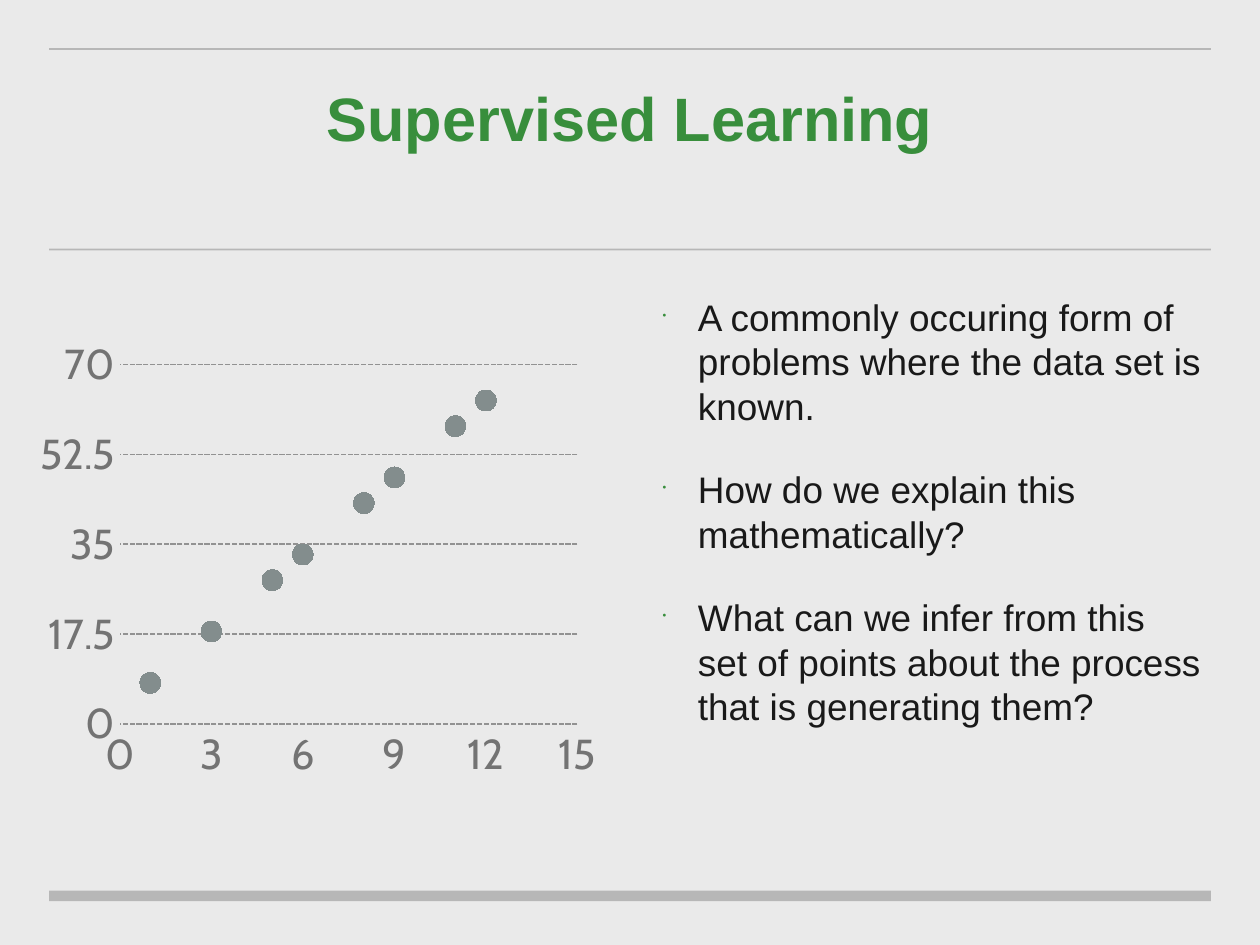
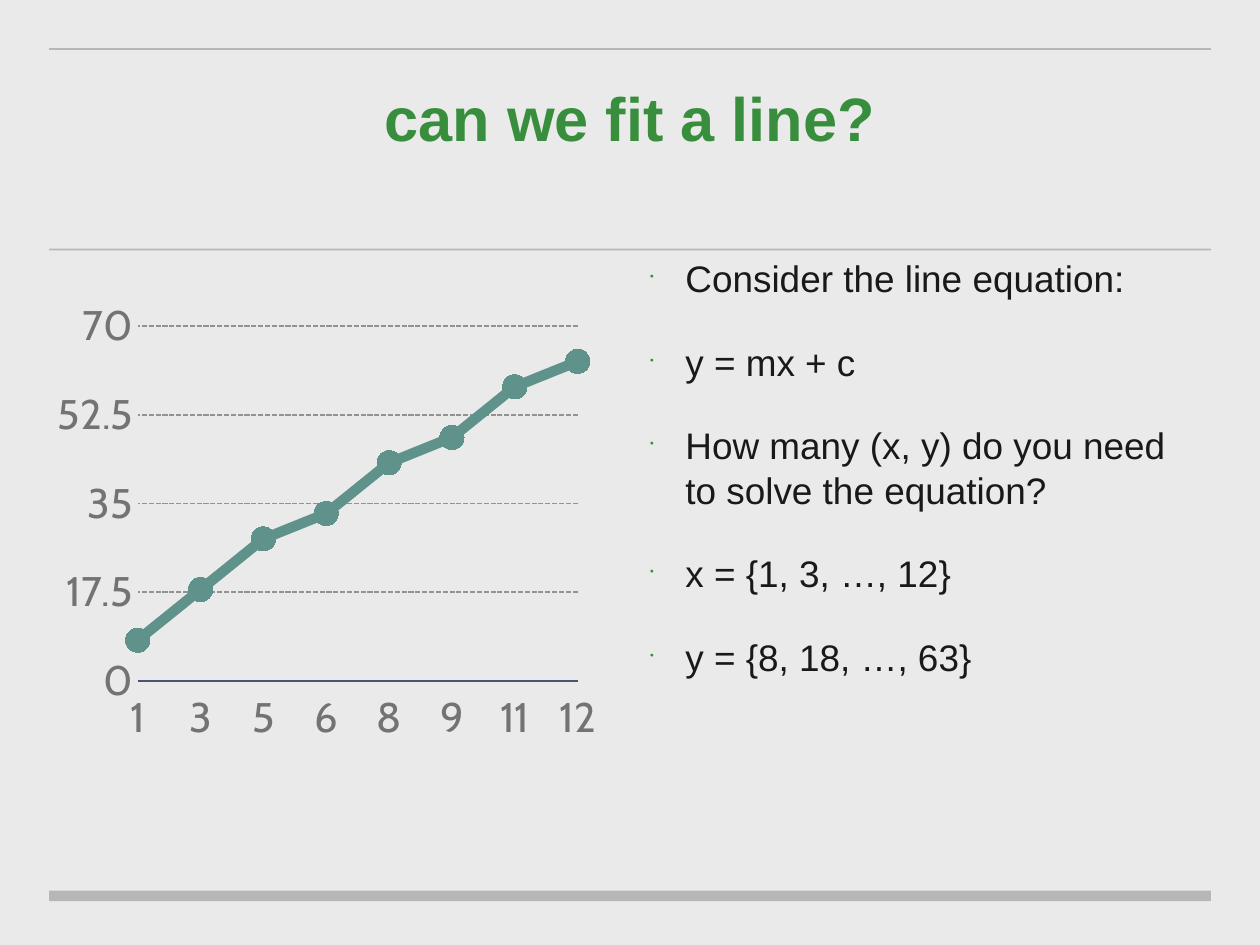
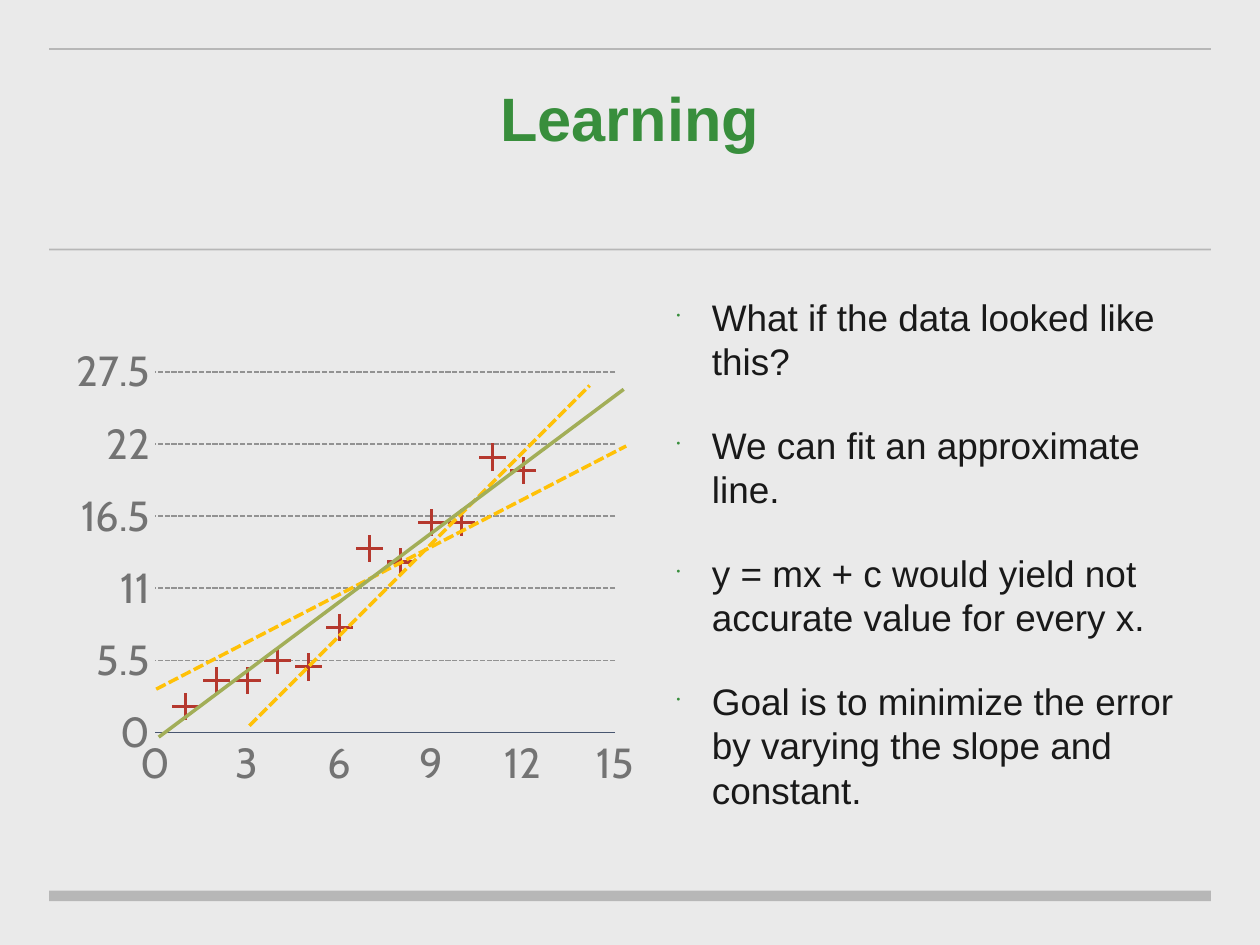
from lxml.etree import SubElement
from pptx import Presentation
from pptx.chart.data import CategoryChartData, XyChartData
from pptx.dml.color import RGBColor
from pptx.enum.chart import XL_CHART_TYPE, XL_MARKER_STYLE, XL_TICK_LABEL_POSITION, XL_TICK_MARK
from pptx.enum.dml import MSO_LINE
from pptx.enum.shapes import MSO_CONNECTOR
from pptx.enum.text import MSO_ANCHOR, PP_ALIGN
from pptx.oxml.ns import qn
from pptx.util import Inches, Pt

HUES = {
    "back": "EAEAEA", "rule": "444444", "title": "388E3C", "text": "191919",
    "label": "737373", "grid": "929292", "axis": "485670", "dot": "838D8D",
    "teal": "5E928B", "plus": "B5382E", "amber": "FFC107", "olive": "A2AE58",
}
HUES = {name: RGBColor.from_string(code) for name, code in HUES.items()}

xs = [1, 3, 5, 6, 8, 9, 11, 12]
ys = [8, 18, 28, 33, 43, 48, 58, 63]
pages = [
    {
        "title": "Supervised Learning",
        "body": (5.21, 2.29, 4.4),
        "points": [
            "A commonly occuring form of problems where the data set is known.",
            "How do we explain this mathematically?",
            "What can we infer from this set of points about the process that is generating them?",
        ],
        "kind": XL_CHART_TYPE.XY_SCATTER, "xs": xs, "ys": ys,
        "chart": (0.32, 2.62, 4.41, 3.57), "plot": (0.133, 0.077, 0.84, 0.802),
        "step": 17.5, "top": 70, "axis": None,
        "mark": (XL_MARKER_STYLE.CIRCLE, 12, "dot"), "fits": [],
    },
    {
        "title": "can we fit a line?",
        "body": (5.11, 1.98, 4.4),
        "points": [
            "Consider the line equation:",
            "y = mx + c",
            "How many (x, y) do you need to solve the equation?",
            "x = {1, 3, …, 12}",
            "y = {8, 18, …, 63}",
        ],
        "kind": XL_CHART_TYPE.LINE_MARKERS, "xs": xs, "ys": ys,
        "chart": (0.46, 2.32, 4.27, 3.58), "plot": (0.14, 0.076, 0.831, 0.801),
        "step": 17.5, "top": 70, "axis": "axis",
        "mark": (XL_MARKER_STYLE.CIRCLE, 14, "teal"), "fits": [],
    },
    {
        "title": "Learning",
        "body": (5.32, 2.29, 4.21),
        "points": [
            "What if the data looked like this?",
            "We can fit an approximate line.",
            "y = mx + c would yield not accurate value for every x.",
            "Goal is to minimize the error by varying the slope and constant.",
        ],
        "kind": XL_CHART_TYPE.XY_SCATTER, "xs": range(1, 13),
        "ys": [2, 4, 4, 5.5, 5, 8, 14, 13, 16, 16, 21, 20],
        "chart": (0.61, 2.68, 4.42, 3.58), "plot": (0.135, 0.076, 0.837, 0.801),
        "step": 5.5, "top": 27.5, "axis": "axis",
        "mark": (XL_MARKER_STYLE.PLUS, 15, "plus"),
        "fits": [
            ((1.24, 5.47, 4.97, 3.54), "amber", MSO_LINE.SQUARE_DOT),
            ((1.98, 5.76, 4.68, 3.06), "amber", MSO_LINE.SQUARE_DOT),
            ((1.26, 5.85, 4.95, 3.09), "olive", None),
        ],
    },
]


def draw_line(slide, ends, hue, width):
    line = slide.shapes.add_connector(MSO_CONNECTOR.STRAIGHT, *map(Inches, ends))
    line.line.color.rgb = HUES[hue]
    line.line.width = Pt(width)
    SubElement(line._element.spPr, qn("a:effectLst"))
    return line


def add_text(slide, box, lines, size, hue):
    """Add a text box and return its frame, one paragraph a line."""
    frame = slide.shapes.add_textbox(*map(Inches, box)).text_frame
    frame.word_wrap = True
    frame.margin_left = frame.margin_right = Inches(0.05)
    frame.margin_top = frame.margin_bottom = Inches(0.05)
    frame.text = "\n".join(lines)
    for para in frame.paragraphs:
        para.font.name = "Arial"
        para.font.size = Pt(size)
        para.font.color.rgb = HUES[hue]
    return frame


deck = Presentation()
deck.slide_width, deck.slide_height = Inches(10), Inches(7.5)
fill = deck.slide_master.background.fill
fill.solid()
fill.fore_color.rgb = HUES["back"]

for page in pages:
    slide = deck.slides.add_slide(deck.slide_layouts[6])

    for y, width in ((1.98, 1), (7.11, 6), (0.39, 1)):
        rule = draw_line(slide, (0.39, y, 9.61, y), "rule", width)
        tint = rule._element.spPr.find(".//" + qn("a:srgbClr"))
        SubElement(tint, qn("a:alpha"), val="30000")

    frame = add_text(slide, (0.5, 0.1, 9, 1.65), [page["title"]], 35, "title")
    frame.vertical_anchor = MSO_ANCHOR.MIDDLE
    frame.paragraphs[0].alignment = PP_ALIGN.CENTER
    frame.paragraphs[0].font.bold = True

    frame = add_text(slide, (*page["body"], 4.25), page["points"], 21.1, "text")
    for para in frame.paragraphs:
        props = para._p.get_or_add_pPr()
        props.set("marL", str(Inches(0.28)))
        props.set("indent", str(Inches(-0.28)))
        last = props.find(qn("a:defRPr"))
        color = SubElement(props, qn("a:buClr"))
        SubElement(color, qn("a:srgbClr"), val=str(HUES["title"]))
        SubElement(props, qn("a:buSzPct"), val="30000")
        SubElement(props, qn("a:buChar"), char="•")
        props.append(last)
        para.space_before = Pt(22.5)

    is_line = page["kind"] == XL_CHART_TYPE.LINE_MARKERS
    if is_line:
        data = CategoryChartData()
        data.categories = [str(x) for x in page["xs"]]
        data.add_series("Series 1", page["ys"])
    else:
        data = XyChartData()
        row = data.add_series("Series 1")
        for x, y in zip(page["xs"], page["ys"]):
            row.add_data_point(x, y)
    chart = slide.shapes.add_chart(page["kind"], *map(Inches, page["chart"]), data).chart
    chart.has_legend = chart.has_title = False
    chart.font.name = "Arial"
    chart.font.size = Pt(10)
    chart.font.color.rgb = HUES["text"]
    chart.plots[0].vary_by_categories = False

    area = chart._chartSpace.chart.plotArea
    for old in area.findall(qn("c:layout")):
        area.remove(old)
    layout = SubElement(area, qn("c:layout"))
    area.insert(0, layout)
    manual = SubElement(layout, qn("c:manualLayout"))
    modes = [("layoutTarget", "inner"), ("xMode", "edge"), ("yMode", "edge")]
    for tag, val in modes + list(zip("xywh", page["plot"])):
        SubElement(manual, qn("c:" + tag), val=str(val))

    across, up = chart.category_axis, chart.value_axis
    for axis in (across, up):
        axis.major_tick_mark = axis.minor_tick_mark = XL_TICK_MARK.NONE
        font = axis.tick_labels.font
        font.name = "Cabin"
        font.size = Pt(24)
        font.color.rgb = HUES["label"]
        axis.format.line.fill.background()
    if page["axis"]:
        across.format.line.color.rgb = HUES[page["axis"]]
        across.format.line.width = Pt(1)
    across.has_major_gridlines = False
    up.has_major_gridlines = True
    grid = up.major_gridlines.format.line
    grid.color.rgb = HUES["grid"]
    grid.width = Pt(1)
    grid.dash_style = MSO_LINE.SQUARE_DOT
    up.minimum_scale, up.maximum_scale = 0, page["top"]
    up.major_unit = page["step"]

    series = chart.plots[0].series[0]
    style, size, hue = page["mark"]
    if is_line:
        across.tick_label_position = XL_TICK_LABEL_POSITION.LOW
        cross = up._element.find(qn("c:crossBetween"))
        if cross is None:
            cross = SubElement(up._element, qn("c:crossBetween"))
            up._element.find(qn("c:crosses")).addnext(cross)
        cross.set("val", "midCat")
        series.smooth = False
        series.format.line.color.rgb = HUES[hue]
        series.format.line.width = Pt(6)
    else:
        across.minimum_scale, across.maximum_scale = 0, 15
        across.major_unit = 3
        series.format.line.fill.background()
    series.marker.style = style
    series.marker.size = size
    series.marker.format.fill.solid()
    series.marker.format.fill.fore_color.rgb = HUES[hue]
    series.marker.format.line.fill.background()

    for ends, hue, dash in page["fits"]:
        fit = draw_line(slide, ends, hue, 2)
        if dash:
            fit.line.dash_style = dash

deck.save("out.pptx")
